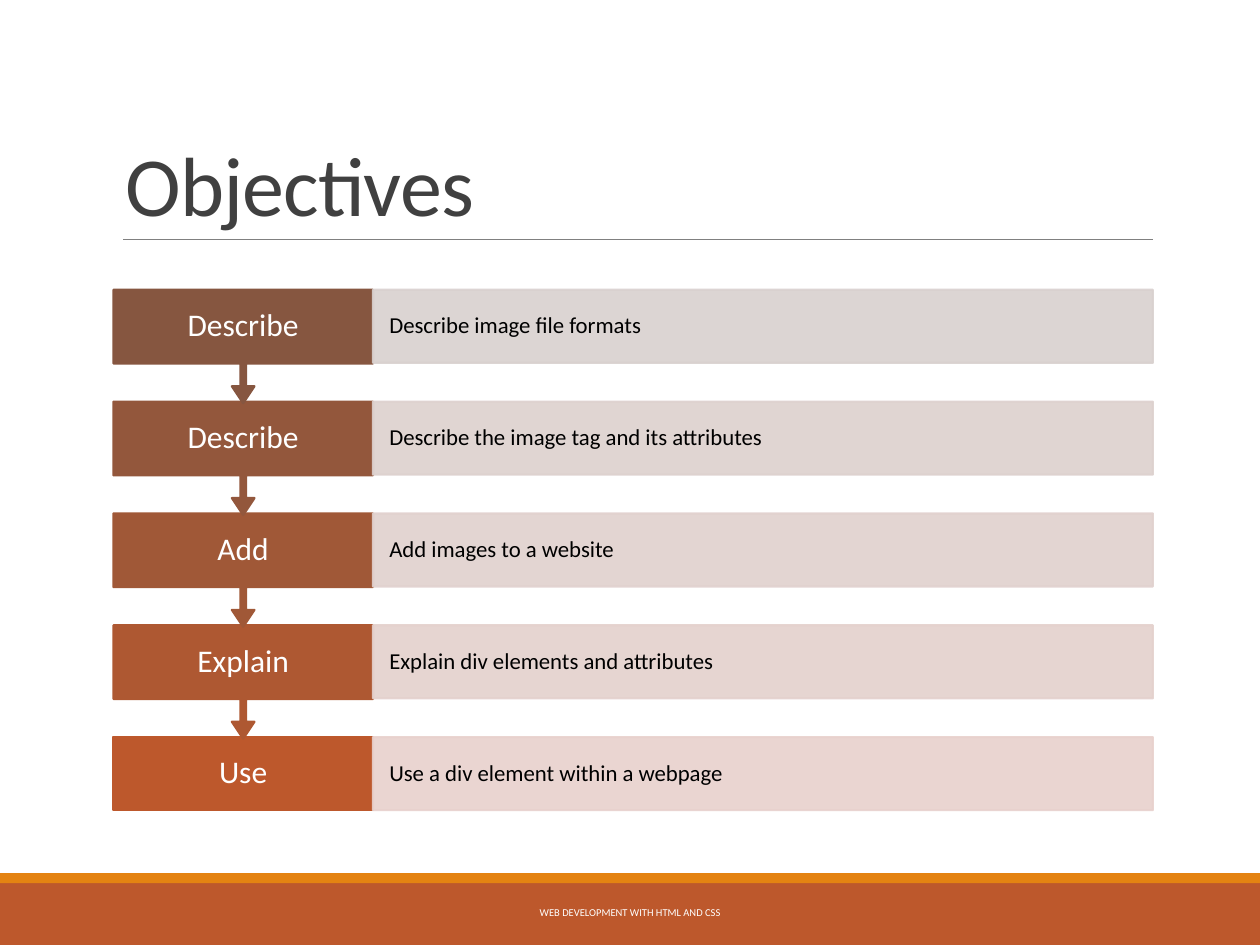
from lxml import etree
from pptx import Presentation
from pptx.dml.color import RGBColor as RGB
from pptx.enum.shapes import MSO_CONNECTOR as Conn, MSO_SHAPE as Kind
from pptx.enum.text import MSO_ANCHOR as Anchor, PP_ALIGN as Align
from pptx.oxml.ns import qn
from pptx.util import Inches, Pt

WHITE = RGB(0xFF, 0xFF, 0xFF)
BLACK = RGB(0, 0, 0)
DARK = RGB(0x40, 0x40, 0x40)
GRAY = RGB(0x80, 0x80, 0x80)
AMBER = RGB(0xE4, 0x83, 0x12)
RUST = RGB(0xBD, 0x58, 0x2C)

# Verb, goal, colour of the verb box, colour of the goal box
STEPS = [
    ("Describe", "Describe image file formats",
     RGB(0x86, 0x56, 0x40), RGB(0xD9, 0xD1, 0xCF)),
    ("Describe", "Describe the image tag and its attributes",
     RGB(0x93, 0x57, 0x3C), RGB(0xDD, 0xD1, 0xCE)),
    ("Add", "Add images to a website",
     RGB(0xA0, 0x58, 0x37), RGB(0xE1, 0xD1, 0xCE)),
    ("Explain", "Explain div elements and attributes",
     RGB(0xAE, 0x58, 0x32), RGB(0xE4, 0xD1, 0xCD)),
    ("Use", "Use a div element within a webpage",
     RUST, RGB(0xE8, 0xD1, 0xCD)),
]

TITLE = {"size": Pt(48), "color": DARK}
FOOT = {"size": Pt(6), "color": WHITE}
VERB = {"size": Pt(18), "color": WHITE}
GOAL = {"size": Pt(13), "color": BLACK}


def place(box):
    return [Inches(n) for n in box]


def add_block(slide, kind, box, color, edge=False, alpha=None):
    """Add a filled shape, with an edge of the same colour if asked."""
    shape = slide.shapes.add_shape(kind, *place(box))
    shape.shadow.inherit = False
    shape.fill.solid()
    shape.fill.fore_color.rgb = color
    if edge:
        shape.line.color.rgb = color
        shape.line.width = Pt(1.25)
    else:
        shape.line.fill.background()
    if alpha:
        for clr in shape.element.spPr.iter(qn("a:srgbClr")):
            etree.SubElement(clr, qn("a:alpha"), val=str(alpha * 1000))
    return shape


def set_text(shape, text, look, pads=(0.1, 0.05), align=Align.LEFT,
             anchor=Anchor.MIDDLE, space=0.9):
    """Write one paragraph; pads are the side and the top/bottom insets."""
    frame = shape.text_frame
    side, end = place(pads)
    form = {"word_wrap": True, "vertical_anchor": anchor,
            "margin_left": side, "margin_right": side,
            "margin_top": end, "margin_bottom": end}
    for name, value in form.items():
        setattr(frame, name, value)
    para = frame.paragraphs[0]
    para.alignment = align
    para.line_spacing = space
    run = para.add_run()
    run.text = text
    run.font.name = "Calibri"
    run.font.size = look["size"]
    run.font.color.rgb = look["color"]
    return run


def add_title(slide, box):
    left, top, wide, high = box
    base = top + high
    label = slide.shapes.add_textbox(*place(box))
    run = set_text(label, "Objectives", TITLE, anchor=Anchor.BOTTOM, space=0.85)
    run.font._element.set("spc", "-50")
    # Rule under the title
    rule = slide.shapes.add_connector(
        Conn.STRAIGHT, *place((left + 0.08, base, left + wide, base)))
    rule.line.color.rgb = GRAY
    rule.line.width = Pt(0.5)
    etree.SubElement(rule._element.spPr, qn("a:effectLst"))


def add_steps(slide, box):
    left, top, wide, high = box
    row = 0.58
    pitch = (high - row) / (len(STEPS) - 1)
    verb_w = 2.06
    last = len(STEPS) - 1
    # From the bottom up, so that each arrow tip lies over the next row
    for i, (verb, goal, dark, pale) in reversed(list(enumerate(STEPS))):
        y = top + i * pitch
        cell = (left, y, verb_w, row)
        if i == last:
            add_block(slide, Kind.RECTANGLE, cell, dark, edge=True)
        else:
            arrow = add_block(slide, Kind.UP_ARROW_CALLOUT,
                              (left, y, verb_w, 0.9), dark, edge=True)
            arrow.rotation = 180
            for k, part in enumerate((0.05, 0.1, 0.15, 0.65)):
                arrow.adjustments[k] = part
        # The label stays upright over the turned callout
        label = slide.shapes.add_textbox(*place(cell))
        set_text(label, verb, VERB, (0.15, 0.14), Align.CENTER)
        panel = add_block(slide, Kind.RECTANGLE,
                          (left + verb_w, y, wide - verb_w, row),
                          pale, edge=True, alpha=90)
        set_text(panel, goal, GOAL, (0.13, 0.18))


def add_footer(slide, box):
    left, top, wide, high = box
    strip = 0.07
    band = add_block(slide, Kind.RECTANGLE,
                     (left, top + strip, wide, high - strip), RUST)
    set_text(band, "WEB DEVELOPMENT WITH HTML AND CSS", FOOT,
             align=Align.CENTER)
    add_block(slide, Kind.RECTANGLE, (left, top, wide, strip + 0.01), AMBER)


def main():
    deck = Presentation()
    deck.slide_width, deck.slide_height = Inches(10), Inches(7.5)
    slide = deck.slides.add_slide(deck.slide_layouts[6])
    add_footer(slide, (0, 6.93, 10, 0.57))
    add_title(slide, (0.9, 0.31, 8.25, 1.59))
    add_steps(slide, (0.9, 2.3, 8.25, 4.13))
    deck.save("out.pptx")


if __name__ == "__main__":
    main()
